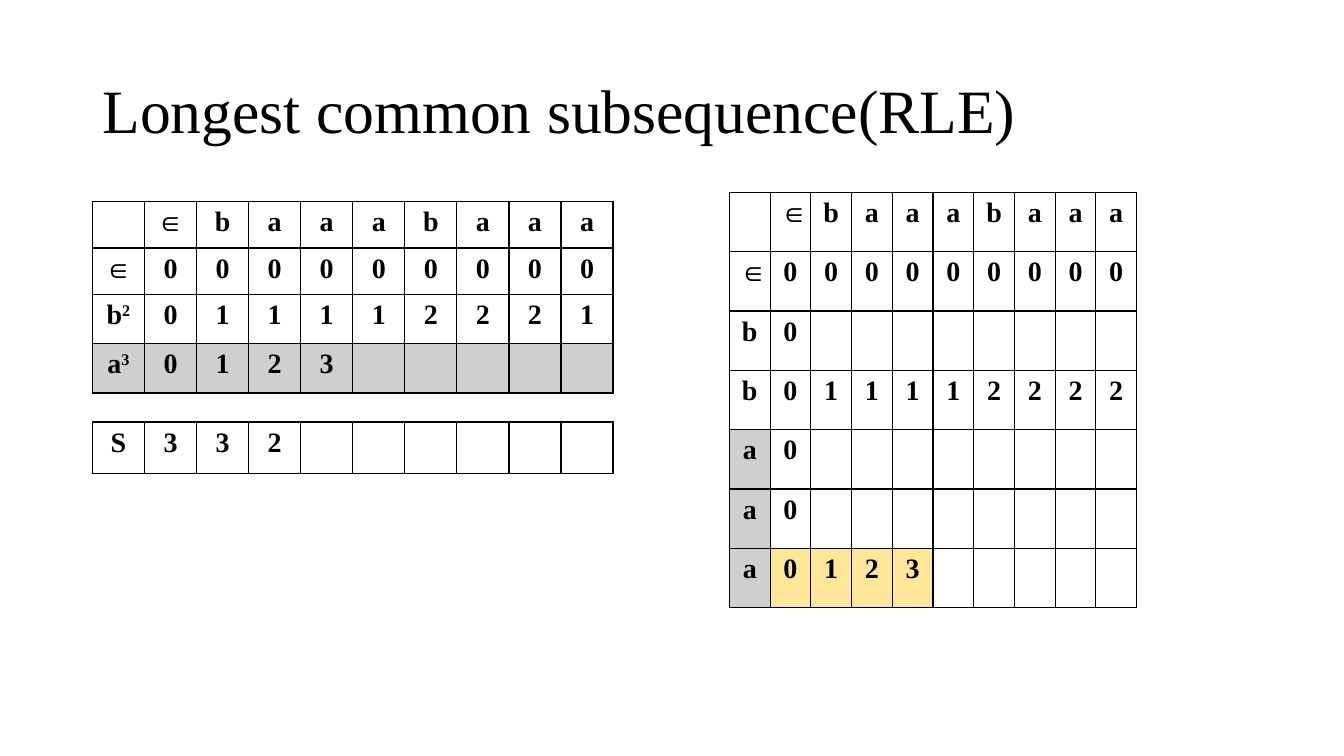
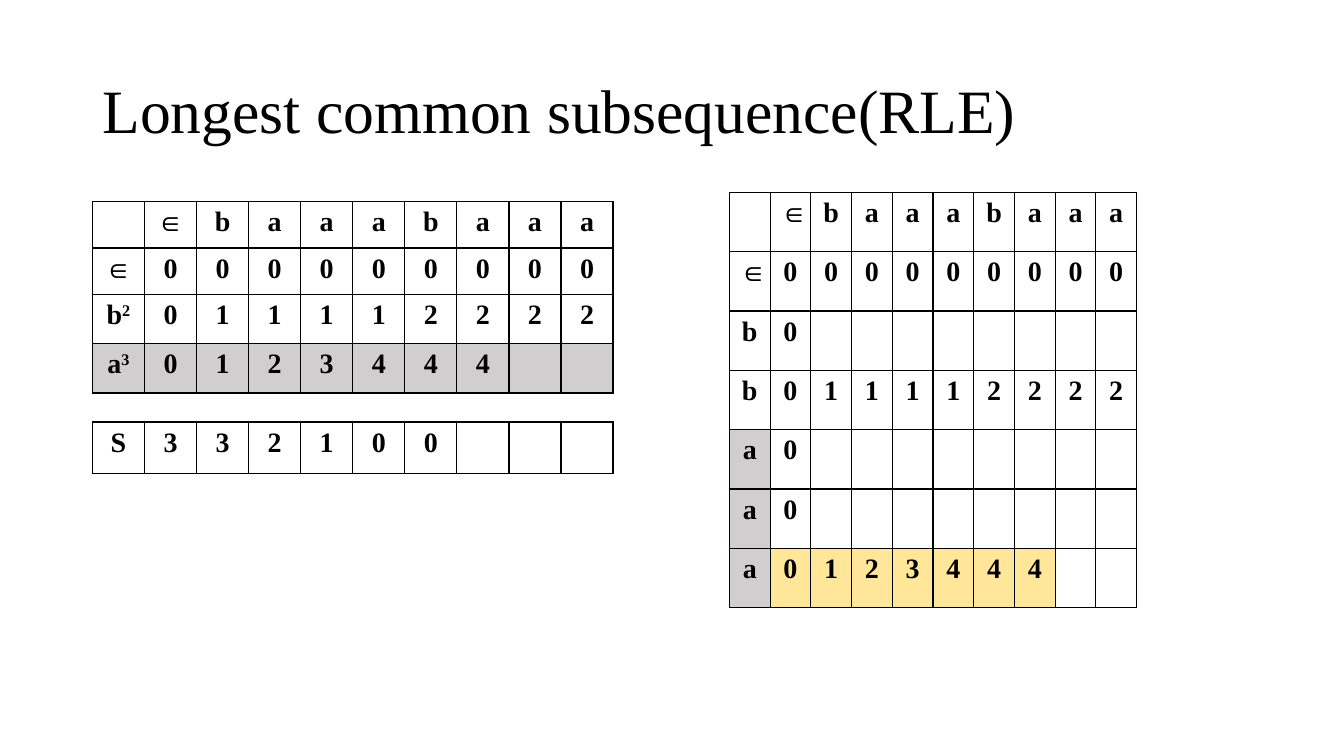
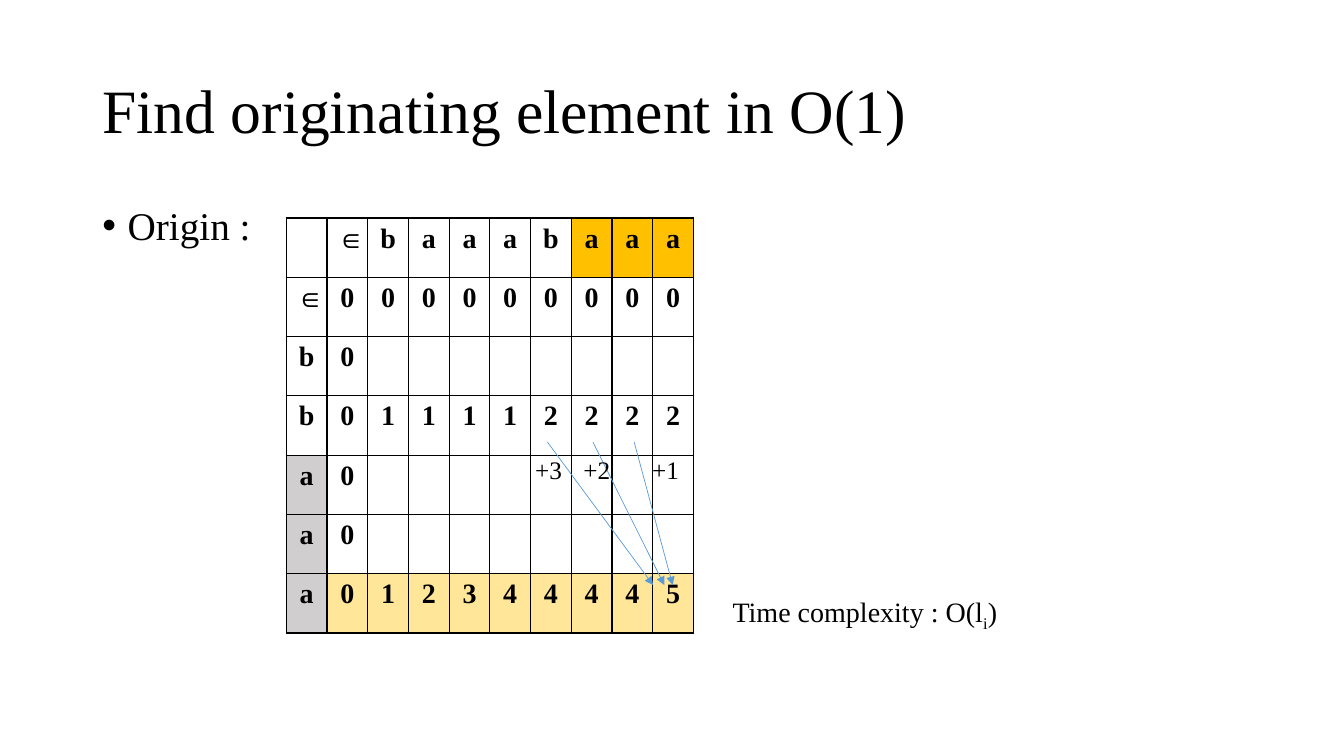
import pptx
import pptx.dml.color
import pptx.enum.shapes
import pptx.enum.text
import pptx.oxml
import pptx.oxml.ns
import pptx.util
from lxml import etree

Pt = pptx.util.Pt
RGBColor = pptx.dml.color.RGBColor
PP_ALIGN = pptx.enum.text.PP_ALIGN
MSO_ANCHOR = pptx.enum.text.MSO_ANCHOR
MSO_AUTO_SIZE = pptx.enum.text.MSO_AUTO_SIZE
qn = pptx.oxml.ns.qn

FONT = "Times New Roman"
BLACK = RGBColor(0x00, 0x00, 0x00)
GREY = RGBColor(0xD0, 0xCE, 0xCE)
YELLOW = RGBColor(0xFF, 0xE6, 0x99)
AMBER = RGBColor(0xFF, 0xC0, 0x00)
BLUE = RGBColor(0x5B, 0x9B, 0xD5)

TITLE_BOX = (66, 28.8, 828, 104.4)
BODY_BOX = (66, 144, 828, 342.7)
TITLE_AND_CONTENT, TITLE_ONLY = 1, 5
COLUMNS = 10
HEADER = ("", "∈baaabaaa")
ZEROS = ("∈", "0" * 9)


def place(shape, box):
    """Move a shape to a box of left, top, width and height in points."""
    shape.left, shape.top, shape.width, shape.height = (Pt(length) for length in box)


def style_paragraph(paragraph, size, bold=False, align=PP_ALIGN.LEFT):
    """Apply the shared font and the given size, weight and alignment."""
    paragraph.alignment = align
    paragraph.font.name = FONT
    paragraph.font.size = Pt(size)
    paragraph.font.bold = bold
    paragraph.font.color.rgb = BLACK


def add_shifted_run(paragraph, text, baseline):
    """Add a superscript or subscript run, shifted by a percentage."""
    run = paragraph.add_run()
    run.text = text
    run._r.get_or_add_rPr().set("baseline", str(baseline * 1000))


def add_titled_slide(presentation, title, layout=TITLE_ONLY):
    """Add a slide with the shared title style."""
    slide = presentation.slides.add_slide(presentation.slide_layouts[layout])
    shape = slide.shapes.title
    place(shape, TITLE_BOX)
    frame = shape.text_frame
    frame.text = title
    frame.vertical_anchor = MSO_ANCHOR.MIDDLE
    frame.auto_size = MSO_AUTO_SIZE.NONE
    paragraph = frame.paragraphs[0]
    paragraph.line_spacing = 0.9
    style_paragraph(paragraph, 44)
    return slide


def add_bullet_body(slide, text):
    """Fill the body placeholder with one bulleted line."""
    body = slide.placeholders[1]
    place(body, BODY_BOX)
    frame = body.text_frame
    frame.text = text
    frame.auto_size = MSO_AUTO_SIZE.NONE
    paragraph = frame.paragraphs[0]
    paragraph.line_spacing = 0.9
    paragraph.space_before = Pt(0)
    properties = paragraph._p.get_or_add_pPr()
    properties.set("marL", str(Pt(18)))
    properties.set("indent", str(-Pt(18)))
    etree.SubElement(properties, qn("a:buChar"), char="•")
    style_paragraph(paragraph, 28)


def border_cell(cell):
    """Draw a thin black line on all four sides of a cell."""
    properties = cell._tc.get_or_add_tcPr()
    for position, side in enumerate(("lnL", "lnR", "lnT", "lnB")):
        line = etree.Element(qn("a:" + side), w=str(Pt(1)))
        fill = etree.SubElement(line, qn("a:solidFill"))
        etree.SubElement(fill, qn("a:srgbClr"), val=str(BLACK))
        properties.insert(position, line)


def add_grid(slide, left, top, column_width, row_heights, rows, fills):
    """Add a table of (label, values) rows; a label's second character is raised."""
    table = slide.shapes.add_table(
        len(rows), COLUMNS, Pt(left), Pt(top), Pt(column_width * COLUMNS), Pt(sum(row_heights))
    ).table
    table.first_row = table.horz_banding = False
    for column in table.columns:
        column.width = Pt(column_width)
    for row_index, (label, values) in enumerate(rows):
        table.rows[row_index].height = Pt(row_heights[row_index])
        texts = [label[:1], *values.ljust(COLUMNS - 1)]
        for column_index, text in enumerate(texts):
            cell = table.cell(row_index, column_index)
            paragraph = cell.text_frame.paragraphs[0]
            if text.strip():
                paragraph.add_run().text = text
            if column_index == 0 and label[1:]:
                add_shifted_run(paragraph, label[1:], 30)
            style_paragraph(paragraph, 20, True, PP_ALIGN.CENTER)
            color = fills.get((row_index, column_index))
            if color is None:
                cell.fill.background()
            else:
                cell.fill.solid()
                cell.fill.fore_color.rgb = color
            border_cell(cell)


def add_run_grid(slide, left, top, second_row, last_row, sources):
    """Add the run-length table with the row S of sources below it."""
    rows = [HEADER, ZEROS, ("b2", second_row), ("a3", last_row)]
    fills = {(3, column): GREY for column in range(COLUMNS)}
    add_grid(slide, left, top, 37.2, [33.2, 33.2, 35.2, 35.2], rows, fills)
    add_grid(slide, left, top + 157.5, 37.2, [36.7], [("S", sources)], {})


def add_full_grid(slide, left, top, last_row, origin_columns=()):
    """Add the uncompressed table with its last row and origin columns marked."""
    rows = [HEADER, ZEROS, ("b", "0"), ("b", "011112222"), ("a", "0"), ("a", "0"), ("a", last_row)]
    fills = {(row, 0): GREY for row in (4, 5, 6)}
    fills.update({(6, column): YELLOW for column in range(1, len(last_row) + 1)})
    fills.update({(0, column): AMBER for column in origin_columns})
    add_grid(slide, left, top, 29.1, [42.35] * len(rows), rows, fills)


def add_text(slide, box, text, size):
    """Add a text box and return its paragraph."""
    shape = slide.shapes.add_textbox(*(Pt(length) for length in box))
    shape.text_frame.word_wrap = True
    paragraph = shape.text_frame.paragraphs[0]
    paragraph.add_run().text = text
    style_paragraph(paragraph, size)
    return paragraph


def add_arrow(slide, start, end):
    """Add a thin blue arrow between two points."""
    connector = slide.shapes.add_connector(
        pptx.enum.shapes.MSO_CONNECTOR.STRAIGHT, *(Pt(length) for length in (*start, *end))
    )
    connector.line.color.rgb = BLUE
    connector.line.width = Pt(0.5)
    etree.SubElement(connector.line._get_or_add_ln(), qn("a:tailEnd"), type="triangle")
    etree.SubElement(connector._element.spPr, qn("a:effectLst"))


def add_origin_arrows(slide, left, top):
    """Add the labelled arrows that lead to the last cell of the full table."""
    arrows = (("+1", 248.5, 276, 254.2), ("+2", 219, 270, 205.2), ("+3", 186.5, 262, 170.6))
    for label, start, end, label_left in arrows:
        add_arrow(slide, (left + start, top + 160), (left + end, top + 262.2))
        add_text(slide, (left + label_left, top + 165.6, 35.3, 28.8), label, 18)


def add_subsequence_slide(presentation, second_row, last_row, sources):
    """Add one step with the run-length and full tables side by side."""
    slide = add_titled_slide(presentation, "Longest common subsequence(RLE)")
    add_run_grid(slide, 66, 144, second_row, last_row, sources)
    add_full_grid(slide, 521, 137.5, last_row)


def add_origin_slide(presentation):
    """Add the slide that finds the originating element."""
    slide = add_titled_slide(presentation, "Find originating element in O(1)", TITLE_AND_CONTENT)
    add_bullet_body(slide, "Origin :")
    left, top = 204.5, 155.7
    add_full_grid(slide, left, top, "012344445", (7, 8, 9))
    add_origin_arrows(slide, left, top)
    paragraph = add_text(slide, (516.2, 421.2, 208, 31.7), "Time complexity : O(l", 20)
    add_shifted_run(paragraph, "i", -25)
    paragraph.add_run().text = ")"


def main():
    """Build and save the presentation."""
    presentation = pptx.Presentation()
    presentation.slide_width, presentation.slide_height = Pt(960), Pt(540)
    add_subsequence_slide(presentation, "011112221", "0123", "332")
    add_subsequence_slide(presentation, "011112222", "0123444", "332100")
    add_origin_slide(presentation)
    presentation.save("out.pptx")


if __name__ == "__main__":
    main()
